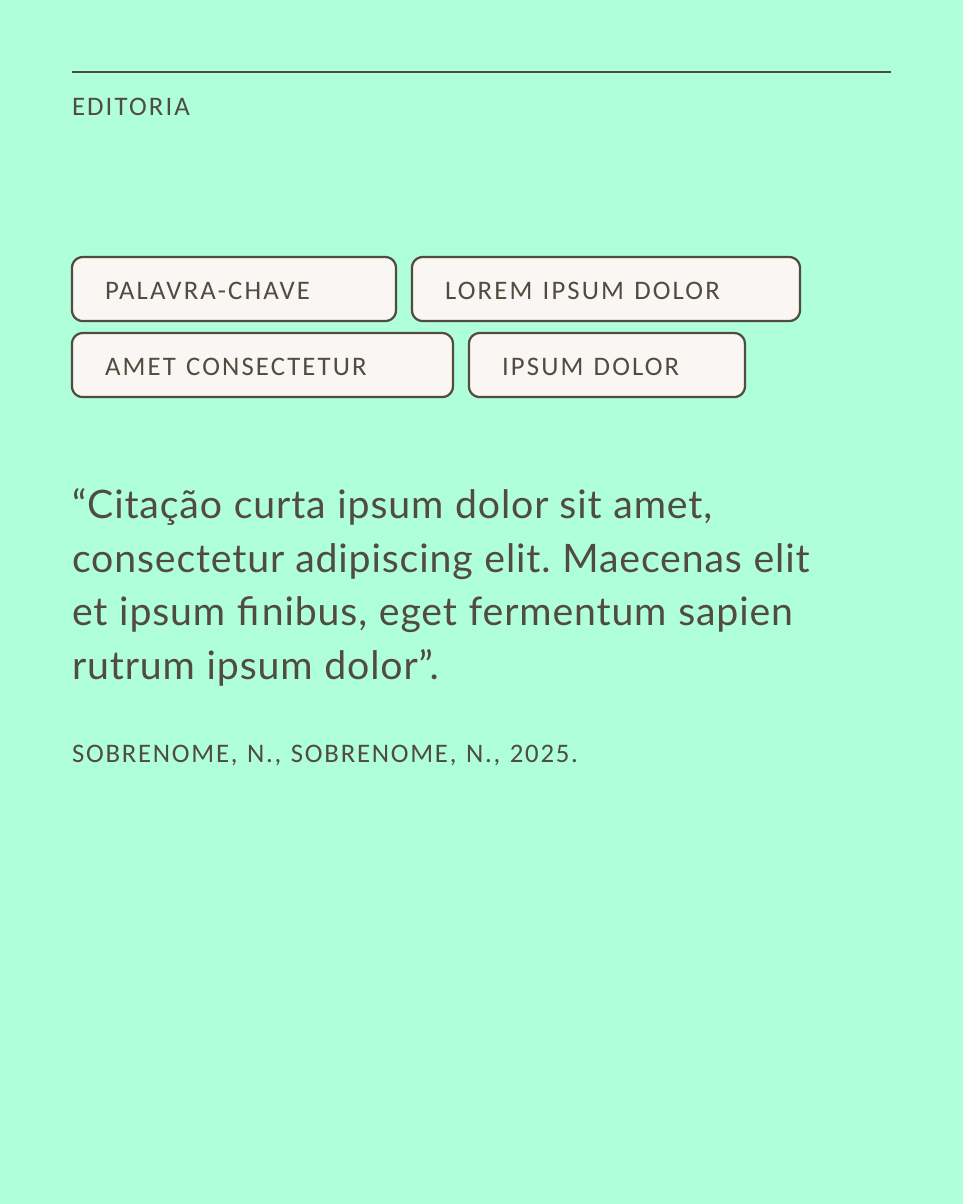
"""Build an editorial quote slide with keyword tags."""
from lxml import etree
from pptx import Presentation
from pptx import util as u
from pptx.dml.color import RGBColor
from pptx.enum import shapes, text
from pptx.oxml.ns import qn

MINT = RGBColor(0xAE, 0xFF, 0xDA)
CREAM = RGBColor(0xFA, 0xF6, 0xF3)
INK = RGBColor(0x51, 0x4B, 0x40)
SCALE = 914400 / 64.2
LEFT, WIDTH = 72, 819
TOP, HIGH, GAP, PITCH = 257, 64, 16, 76
ROWS = [
    [("PALAVRA-CHAVE", 324), ("LOREM IPSUM DOLOR", 388)],
    [("AMET CONSECTETUR", 381), ("IPSUM DOLOR", 276)],
]
QUOTE = ("“Citação curta ipsum dolor sit amet, consectetur adipiscing elit. "
         "Maecenas elit et ipsum finibus, eget fermentum sapien "
         "rutrum ipsum dolor”.")
SOURCE = "SOBRENOME, N., SOBRENOME, N., 2025."


def px(num):
    return u.Emu(round(num * SCALE))


def place(shape, *box):
    shape.left, shape.top, shape.width, shape.height = map(px, box)


def frame(shape, insets, anchor):
    body = shape.text_frame
    body.word_wrap = True
    body.auto_size = text.MSO_AUTO_SIZE.NONE
    body.vertical_anchor = anchor
    (body.margin_left, body.margin_top,
     body.margin_right, body.margin_bottom) = map(px, insets)
    return body


def write(para, words, size=30, face="Calibri", gap=2.4):
    para.text = words
    para.alignment = text.PP_ALIGN.LEFT
    font = para.font
    font.size, font.name = u.Pt(size), face
    font.color.rgb = INK
    font._rPr.set("spc", str(round(gap * 100)))


def add_rule(slide, y):
    rule = slide.shapes.add_connector(
        shapes.MSO_CONNECTOR.STRAIGHT,
        px(LEFT), px(y), px(LEFT + WIDTH), px(y))
    rule.line.color.rgb = INK
    rule.line.width = u.Pt(2.5)
    etree.SubElement(rule._element.spPr, qn("a:effectLst"))


def add_title(slide, words):
    title = slide.shapes.title
    place(title, LEFT, 89, WIDTH, 33)
    body = frame(title, (0, 0, 0, 0), text.MSO_ANCHOR.TOP)
    write(body.paragraphs[0], words)


def add_tag(slide, words, x, y, width):
    tag = slide.shapes.add_shape(
        shapes.MSO_SHAPE.ROUNDED_RECTANGLE,
        px(x), px(y), px(width), px(HIGH))
    tag.shadow.inherit = False
    tag.fill.solid()
    tag.fill.fore_color.rgb = CREAM
    tag.line.color.rgb = INK
    tag.line.width = u.Pt(2.5)
    body = frame(tag, (30, 13, 30, 13), text.MSO_ANCHOR.MIDDLE)
    write(body.paragraphs[0], words)


def add_tags(slide):
    for row, tags in enumerate(ROWS):
        x = LEFT
        for words, width in tags:
            add_tag(slide, words, x, TOP + row * PITCH, width)
            x += width + GAP


def add_quote(slide):
    box = slide.shapes.add_textbox(px(LEFT), px(397), px(WIDTH), px(436))
    body = frame(box, (0, 76, 38, 0), text.MSO_ANCHOR.TOP)
    quote, source = body.paragraphs[0], body.add_paragraph()
    write(quote, QUOTE, 44, "Lato", 1)
    quote.line_spacing = u.Pt(60)
    write(source, SOURCE, gap=2)
    source.line_spacing = source.space_before = u.Pt(45)


def main():
    deck = Presentation()
    deck.slide_width, deck.slide_height = u.Inches(15), u.Inches(18.75)
    slide = deck.slides.add_slide(deck.slide_layouts[5])
    slide.background.fill.solid()
    slide.background.fill.fore_color.rgb = MINT
    add_rule(slide, 72)
    add_title(slide, "EDITORIA")
    add_tags(slide)
    add_quote(slide)
    deck.save("out.pptx")


if __name__ == "__main__":
    main()
